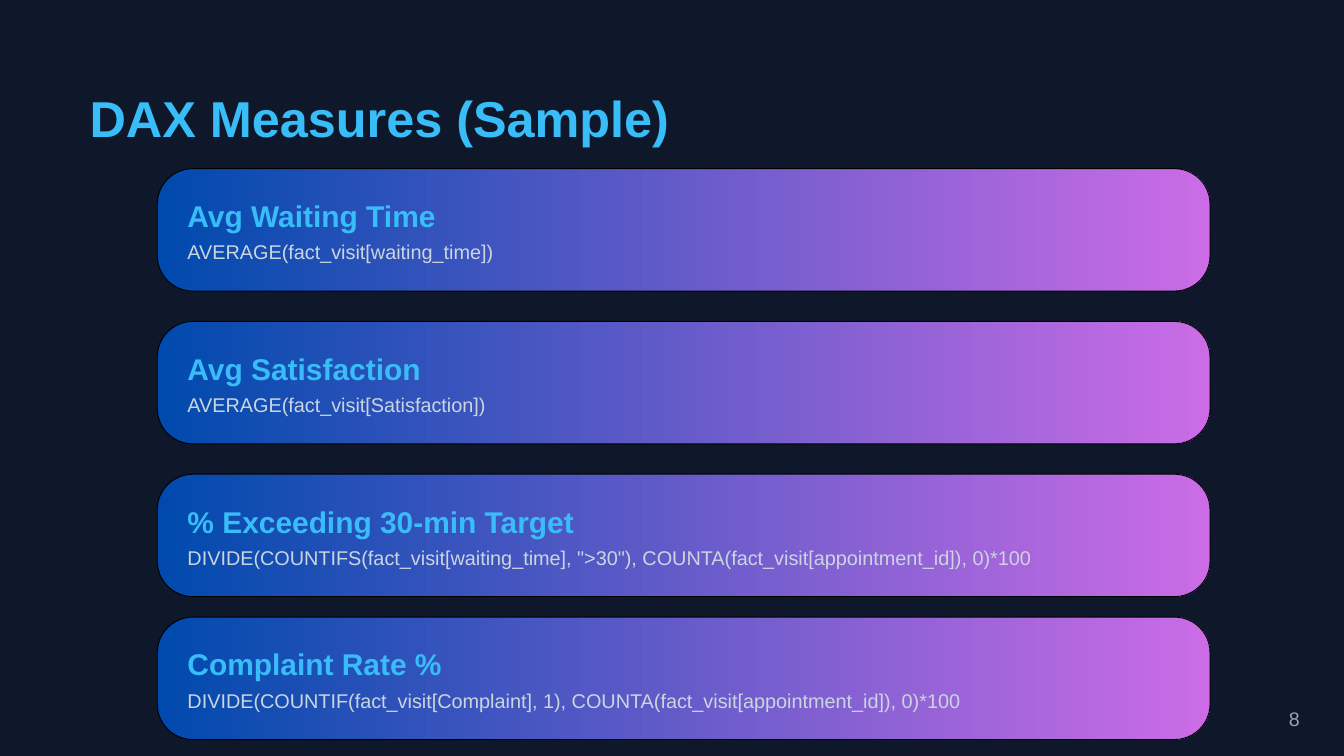
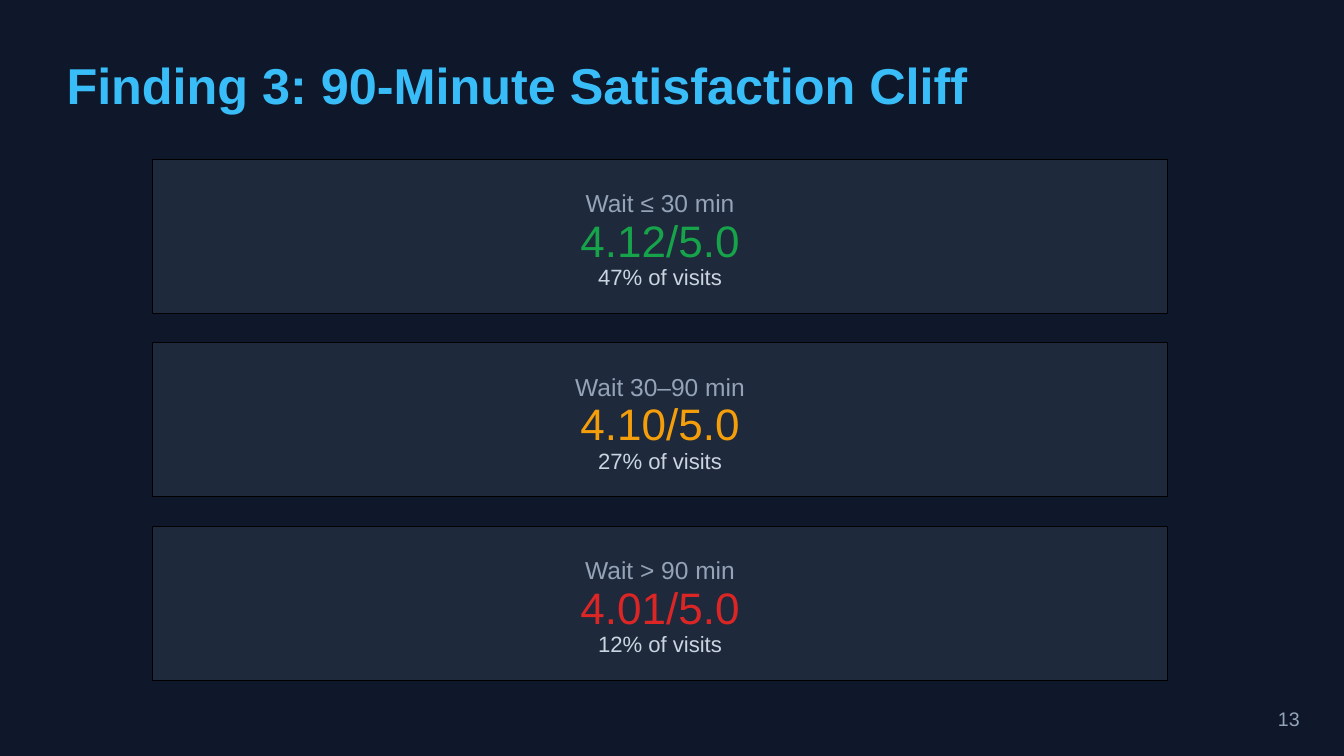
from collections import namedtuple
from dataclasses import dataclass

from pptx import Presentation
from pptx.dml.color import RGBColor
from pptx.enum import shapes, text
from pptx.util import Pt

Box = namedtuple("Box", "x y w h")
Style = namedtuple("Style", "size color leading bold", defaults=(False,))


@dataclass(frozen=True)
class Theme:
    font: str = "Arial"
    background: str = "0F172A"
    panel: str = "1E293B"
    outline: str = "000000"
    gradient: tuple = ("004AAD", "CB6CE6")
    good: str = "16A34A"
    fair: str = "F59E0B"
    poor: str = "DC2626"
    title: Style = Style(54, "38BDF8", 64.8, True)
    measure: Style = Style(32.1, "38BDF8", 38.5, True)
    formula: Style = Style(21.3, "CBD5E1", 29.8)
    wait: Style = Style(26.3, "94A3B8", 36.8)
    score: Style = Style(47.2, "FFFFFF", 66.1)
    share: Style = Style(23.7, "CBD5E1", 33.1)
    page: Style = Style(21, "94A3B8", 29.4)


THEME = Theme()
ALIGN = text.PP_ALIGN
SLIDE = Box(0, 0, 1440, 810)

MEASURES = [
    ("Avg Waiting Time", "AVERAGE(fact_visit[waiting_time])"),
    ("Avg Satisfaction", "AVERAGE(fact_visit[Satisfaction])"),
    ("% Exceeding 30-min Target",
     'DIVIDE(COUNTIFS(fact_visit[waiting_time], ">30"), '
     "COUNTA(fact_visit[appointment_id]), 0)*100"),
    ("Complaint Rate %",
     "DIVIDE(COUNTIF(fact_visit[Complaint], 1), "
     "COUNTA(fact_visit[appointment_id]), 0)*100"),
]
MEASURE_TOPS = [180.7, 344.4, 508.1, 661.2]

WAIT_BANDS = [
    ("Wait ≤ 30 min", "4.12/5.0", "47% of visits", THEME.good),
    ("Wait 30–90 min", "4.10/5.0", "27% of visits", THEME.fair),
    ("Wait > 90 min", "4.01/5.0", "12% of visits", THEME.poor),
]


def rgb(value):
    return RGBColor.from_string(value)


def add_text(slide, box, content, style, align=ALIGN.LEFT):
    sp = slide.shapes.add_textbox(*map(Pt, box))
    tf = sp.text_frame
    tf.word_wrap = True
    tf.margin_left = tf.margin_right = tf.margin_top = tf.margin_bottom = 0
    tf.text = content
    p = tf.paragraphs[0]
    p.alignment = align
    p.line_spacing = Pt(style.leading)
    font = p.runs[0].font
    font.name = THEME.font
    font.size = Pt(style.size)
    font.bold = style.bold
    font.color.rgb = rgb(style.color)


def add_panel(slide, box, kind):
    sp = slide.shapes.add_shape(kind, *map(Pt, box))
    sp.shadow.inherit = False
    sp.line.color.rgb = rgb(THEME.outline)
    sp.line.width = Pt(1)
    return sp


def add_measure_card(slide, box, name, formula):
    sp = add_panel(slide, box, shapes.MSO_SHAPE.ROUNDED_RECTANGLE)
    sp.adjustments[0] = 0.29
    sp.fill.gradient()
    sp.fill.gradient_angle = 0
    for stop, color in zip(sp.fill.gradient_stops, THEME.gradient):
        stop.color.rgb = rgb(color)
    x, w = box.x + 32.4, box.w - 44
    add_text(slide, Box(x, box.y + 31, w, 39), name, THEME.measure)
    add_text(slide, Box(x, box.y + 72.3, w, 30), formula, THEME.formula)


def add_wait_card(slide, box, wait, score, share, color):
    sp = add_panel(slide, box, shapes.MSO_SHAPE.RECTANGLE)
    sp.fill.solid()
    sp.fill.fore_color.rgb = rgb(THEME.panel)
    rows = [
        (25.9, wait, THEME.wait),
        (48.3, score, THEME.score._replace(color=color)),
        (107.3, share, THEME.share),
    ]
    for dy, content, style in rows:
        line = Box(box.x + 21, box.y + dy, box.w - 42, style.leading)
        add_text(slide, line, content, style, ALIGN.CENTER)


def add_base_slide(prs, title, x, y, number):
    slide = prs.slides.add_slide(prs.slide_layouts[6])
    slide.background.fill.solid()
    slide.background.fill.fore_color.rgb = rgb(THEME.background)
    add_text(slide, Box(x, y, 1273, 67), title, THEME.title)
    page_box = Box(SLIDE.w - 87.5, 753.1, 40, 30)
    add_text(slide, page_box, str(number), THEME.page, ALIGN.RIGHT)
    return slide


def build_measures(prs):
    slide = add_base_slide(prs, "DAX Measures (Sample)", 96, 93.6, 8)
    for top, measure in zip(MEASURE_TOPS, MEASURES):
        add_measure_card(slide, Box(168.5, top, 1128, 131.2), *measure)


def build_satisfaction(prs):
    title = "Finding 3: 90-Minute Satisfaction Cliff"
    slide = add_base_slide(prs, title, 71.3, 57.6, 13)
    for i, band in enumerate(WAIT_BANDS):
        box = Box(163.4, 170.6 + i * 196.6, 1087.5, 165)
        add_wait_card(slide, box, *band)


def main():
    prs = Presentation()
    prs.slide_width, prs.slide_height = Pt(SLIDE.w), Pt(SLIDE.h)
    build_measures(prs)
    build_satisfaction(prs)
    prs.save("out.pptx")


if __name__ == "__main__":
    main()
